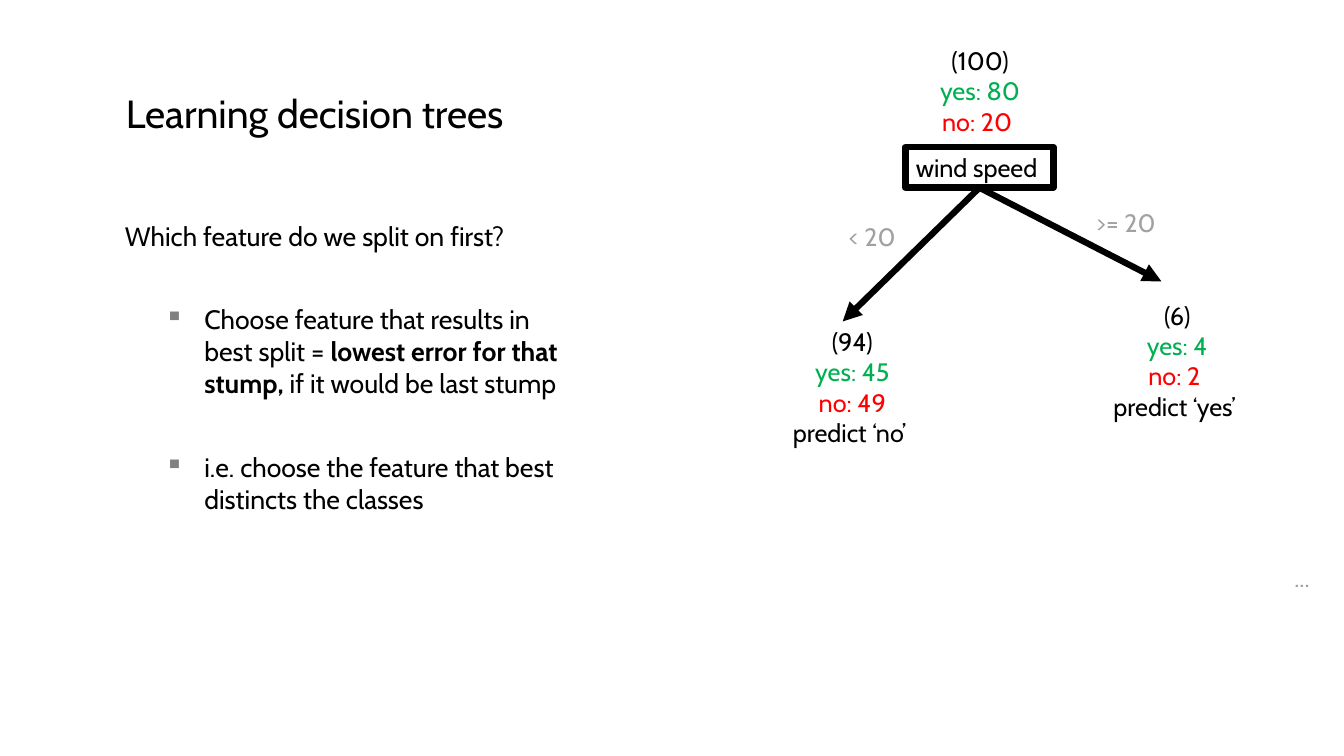
from lxml import etree
from pptx import Presentation
from pptx.dml.color import RGBColor
from pptx.enum.shapes import MSO_CONNECTOR, MSO_SHAPE
from pptx.enum.text import MSO_ANCHOR, PP_ALIGN
from pptx.oxml.ns import qn
from pptx.util import Cm, Pt

LEFT, CENTER = PP_ALIGN.LEFT, PP_ALIGN.CENTER
MIDDLE = MSO_ANCHOR.MIDDLE
RECT = MSO_SHAPE.RECTANGLE
STRAIGHT = MSO_CONNECTOR.STRAIGHT
BOTTOM = 2


class Theme:
    font = "Cabin"
    title, body, node = Pt(28), Pt(19), Pt(18)
    line = Pt(4.5)
    black = RGBColor(0, 0, 0)
    green = RGBColor(0x00, 0xB0, 0x50)
    red = RGBColor(0xFF, 0, 0)
    gray = RGBColor(0xA1, 0xA1, 0xA1)
    bullet = "808080"


def style(p, size, color, align=LEFT):
    p.alignment = align
    for r in p.runs:
        r.font.name = Theme.font
        r.font.size = size
        r.font.color.rgb = color


def add_text(s, x, y, w, h, lines, align=LEFT):
    tf = s.shapes.add_textbox(Cm(x), Cm(y), Cm(w), Cm(h)).text_frame
    tf.word_wrap = True
    tf.text = "\n".join(text for text, color in lines)
    for p, (text, color) in zip(tf.paragraphs, lines):
        style(p, Theme.node, color, align)


def add_title(s, x, y, w, h, text):
    sp = s.shapes.title
    sp.left, sp.top, sp.width, sp.height = Cm(x), Cm(y), Cm(w), Cm(h)
    tf = sp.text_frame
    tf.text = text
    tf.vertical_anchor = MIDDLE
    p = tf.paragraphs[0]
    p.line_spacing = 0.9
    style(p, Theme.title, Theme.black)


def set_bullet(p):
    pPr = p._p.get_or_add_pPr()
    pPr.set("marL", str(Cm(2)))
    pPr.set("indent", str(Cm(-1)))
    color = etree.SubElement(pPr, qn("a:buClr"))
    etree.SubElement(color, qn("a:srgbClr"), val=Theme.bullet)
    etree.SubElement(pPr, qn("a:buChar"), char="▪")


def add_body(s, x, y, w, h, question, answers):
    tf = s.shapes.add_textbox(Cm(x), Cm(y), Cm(w), Cm(h)).text_frame
    tf.word_wrap = True
    tf.text = question
    for parts in answers:
        p = tf.add_paragraph()
        set_bullet(p)
        p.space_before = Pt(37)
        for text, bold in parts:
            r = p.add_run()
            r.text = text
            r.font.bold = bold
    for p in tf.paragraphs:
        style(p, Theme.body, Theme.black)


def add_counts(s, x, y, w, h, total, yes, no, prediction=None):
    lines = [(total, Theme.black), (yes, Theme.green), (no, Theme.red)]
    if prediction:
        lines.append((prediction, Theme.black))
    add_text(s, x, y, w, h, lines, CENTER)


def add_branch(s, node, x, y):
    cx = s.shapes.add_connector(STRAIGHT, 0, 0, Cm(x), Cm(y))
    cx.begin_connect(node, BOTTOM)
    cx.line.color.rgb = Theme.black
    cx.line.width = Theme.line
    etree.SubElement(cx.line._get_or_add_ln(), qn("a:tailEnd"), type="triangle")
    etree.SubElement(cx._element.spPr, qn("a:effectLst"))


def add_node(s, x, y, w, h, text):
    sp = s.shapes.add_shape(RECT, Cm(x), Cm(y), Cm(w), Cm(h))
    sp.shadow.inherit = False
    sp.fill.background()
    sp.line.color.rgb = Theme.black
    sp.line.width = Theme.line
    tf = sp.text_frame
    tf.text = text
    style(tf.paragraphs[0], Theme.node, Theme.black, CENTER)
    return sp


def add_tree(s, x, y, w, h):
    node = add_node(s, x + 3.33, y + 2.69, 3.73, 1.02, "wind speed ")
    for dx, dy in ((9.78, 6.07), (1.75, 7.08)):
        add_branch(s, node, x + dx, y + dy)
    labels = (
        (1.65, 4.44, "< 20"),
        (7.88, 4.09, ">= 20"),
        (w - 1.5, h - 1.02, "..."),
    )
    for dx, dy, text in labels:
        add_text(s, x + dx, y + dy, 2.36 if text != "..." else 1.5, 1.02,
                 [(text, Theme.gray)])
    add_counts(s, x + 3.33, y, 3.76, 2.57, "(100)", "yes: 80", "no: 20 ")
    add_counts(s, x, y + 7.08, 3.99, 3.33,
               "(94)", "yes: 45", "no: 49", "predict ‘no’ ")
    add_counts(s, x + 7.88, y + 6.42, 4.6, 3.33,
               "(6)", "yes: 4", "no: 2 ", "predict ‘yes’ ")


def main():
    prs = Presentation()
    prs.slide_width, prs.slide_height = Cm(33.86), Cm(19.05)
    s = prs.slides.add_slide(prs.slide_layouts[5])
    add_title(s, 2.92, 2.16, 28, 1.5, "Learning decision trees")
    add_body(s, 2.9, 5.41, 11.71, 11, "Which feature do we split on first?", (
        (("Choose feature that results in best split = ", False),
         ("lowest error for that stump, ", True),
         ("if it would be last stump", False)),
        (("i.e. choose the feature that best distincts the classes", False),),
    ))
    add_tree(s, 19.48, 1.02, 14.38, 14.05)
    prs.save("out.pptx")


if __name__ == "__main__":
    main()
